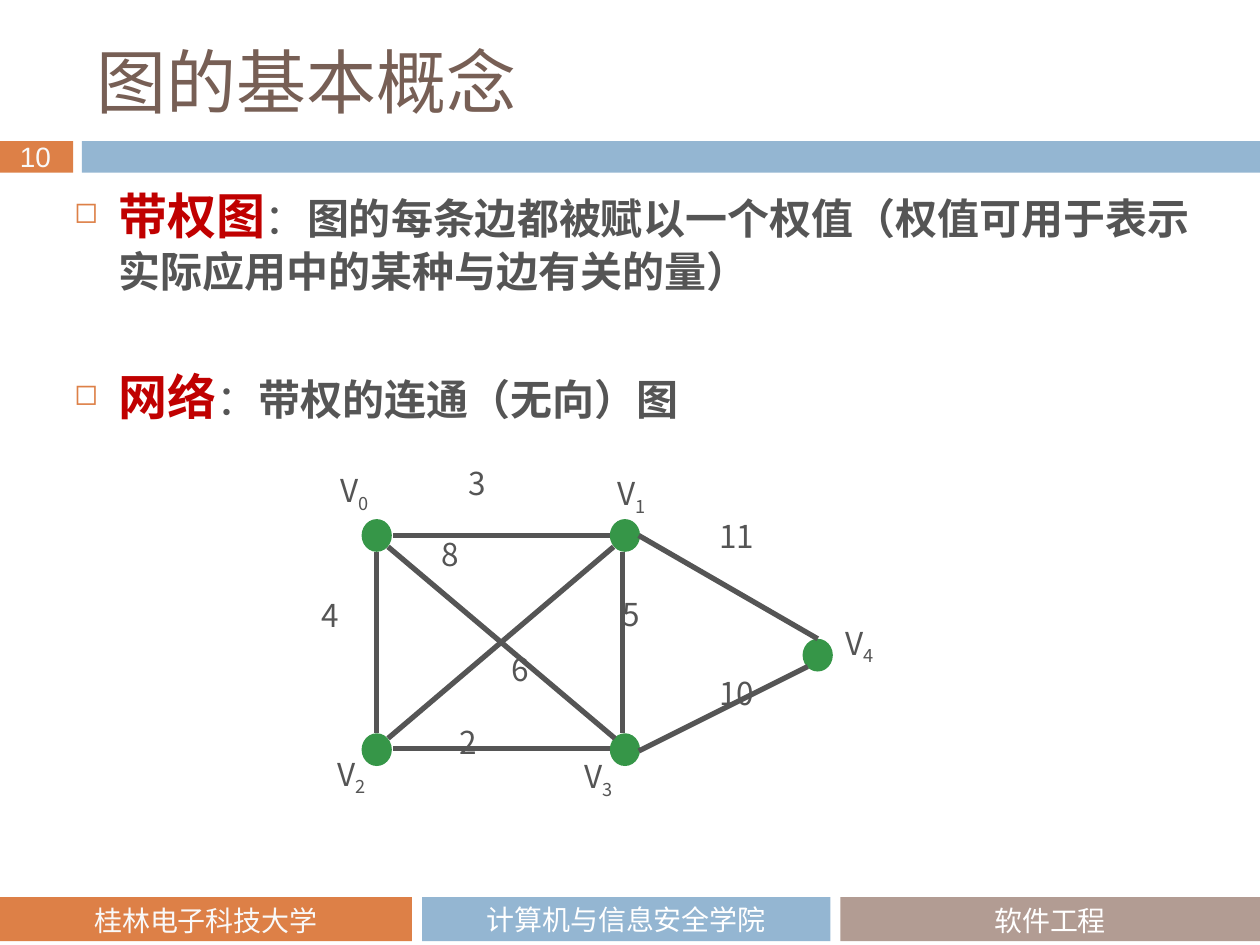
from dataclasses import dataclass
from typing import Any, NamedTuple

import lxml.etree
import pptx
import pptx.dml.color
import pptx.enum.shapes
import pptx.enum.text
import pptx.oxml
import pptx.oxml.ns
import pptx.util

Inches = pptx.util.Inches
Pt = pptx.util.Pt
Anchor = pptx.enum.text.MSO_ANCHOR
Align = pptx.enum.text.PP_ALIGN
AutoSize = pptx.enum.text.MSO_AUTO_SIZE
ShapeKind = pptx.enum.shapes.MSO_SHAPE
ConnectorKind = pptx.enum.shapes.MSO_CONNECTOR
qn = pptx.oxml.ns.qn

COLORS: dict[str, str] = {
    "orange": "DD8047",
    "blue": "94B6D2",
    "taupe": "B29C93",
    "brown": "775F55",
    "red": "C00000",
    "gray": "555555",
    "green": "369648",
    "white": "FFFFFF",
    "pale": "F9F9F9",
}
CJK = "Noto Sans CJK SC"


class Box(NamedTuple):
    left: float
    top: float
    width: float
    height: float


@dataclass(frozen=True)
class Run:
    text: str
    size: float = 18
    color: str = "gray"
    font: str = CJK
    bold: bool = False
    subscript: bool = False


@dataclass(frozen=True)
class Block:
    box: Box
    color: str


@dataclass(frozen=True)
class Caption:
    box: Box
    run: Run
    format: dict[str, Any]


@dataclass(frozen=True)
class Vertex:
    index: int
    left: float
    top: float
    label_left: float
    label_top: float


class Edge(NamedTuple):
    start_x: float
    start_y: float
    end_x: float
    end_y: float


class Weight(NamedTuple):
    text: str
    left: float
    top: float
    width: float = 0.36


BLOCKS = [
    Block(Box(0, 1.12, 0.58, 0.25), "orange"),
    Block(Box(0.65, 1.12, 9.35, 0.25), "blue"),
    Block(Box(0, 7.12, 3.27, 0.35), "orange"),
    Block(Box(3.35, 7.12, 3.24, 0.35), "blue"),
    Block(Box(6.67, 7.12, 3.33, 0.35), "taupe"),
]
WRAPPED = {"word_wrap": True}
MIDDLE = {"word_wrap": True, "vertical_anchor": Anchor.MIDDLE}
FITTED = {"word_wrap": False, "auto_size": AutoSize.SHAPE_TO_FIT_TEXT}
LABEL = {**FITTED, "vertical_anchor": Anchor.MIDDLE}
FOOTERS = [
    Caption(Box(3.35, 7.12, 3.24, 0.35), Run("计算机与信息安全学院", 16, "white", "Calibri"), MIDDLE),
    Caption(Box(6.67, 7.12, 3.33, 0.32), Run("软件工程", 16, "white", "Calibri"), WRAPPED),
    Caption(Box(0, 7.12, 3.27, 0.32), Run("桂林电子科技大学", 16, "pale", "Calibri"), WRAPPED),
]
DEFINITIONS = [
    ("带权图", "图的每条边都被赋以一个权值（权值可用于表示实际应用中的某种与边有关的量）"),
    ("网络", "带权的连通（无向）图"),
]
VERTICES = [
    Vertex(0, 2.87, 4.12, 2.6, 3.71),
    Vertex(1, 4.84, 4.12, 4.8, 3.73),
    Vertex(2, 2.87, 5.82, 2.58, 5.96),
    Vertex(3, 4.84, 5.82, 4.54, 5.98),
    Vertex(4, 6.37, 5.07, 6.61, 4.92),
]
EDGES = [
    Edge(3.12, 4.25, 4.84, 4.25),
    Edge(3.12, 5.94, 4.84, 5.94),
    Edge(2.99, 4.38, 2.99, 5.82),
    Edge(4.94, 4.38, 4.94, 5.82),
    Edge(3.08, 4.34, 4.88, 5.86),
    Edge(3.08, 5.86, 4.87, 4.34),
    Edge(5.07, 5.96, 6.41, 5.29),
    Edge(5.07, 4.25, 6.49, 5.07),
]
WEIGHTS = [
    Weight("2", 3.55, 5.69),
    Weight("3", 3.62, 3.63),
    Weight("4", 2.45, 4.68),
    Weight("5", 4.84, 4.67),
    Weight("6", 3.96, 5.11),
    Weight("8", 3.41, 4.2),
    Weight("10", 5.61, 5.3, 0.51),
    Weight("11", 5.61, 4.05, 0.51),
]


def rgb(name: str) -> pptx.dml.color.RGBColor:
    return pptx.dml.color.RGBColor.from_string(COLORS[name])


def apply_format(target: Any, values: dict[str, Any]) -> None:
    for name, value in values.items():
        setattr(target, name, value)


def add_filled_shape(shapes: Any, kind: Any, box: Box, color: str) -> None:
    shape = shapes.add_shape(kind, *map(Inches, box))
    shape.shadow.inherit = False
    shape.fill.solid()
    shape.fill.fore_color.rgb = rgb(color)
    shape.line.fill.background()


def add_runs(paragraph: Any, runs: list[Run]) -> None:
    for item in runs:
        run = paragraph.add_run()
        run.text = item.text
        apply_format(run.font, {"name": item.font, "size": Pt(item.size), "bold": item.bold})
        run.font.color.rgb = rgb(item.color)
        properties = run.font._element
        lxml.etree.SubElement(properties, qn("a:ea")).set("typeface", item.font)
        if item.subscript:
            properties.set("baseline", "-25000")


def add_text(shapes: Any, box: Box, runs: list[Run], format: dict[str, Any], alignment: Any = Align.LEFT) -> None:
    frame = shapes.add_textbox(*map(Inches, box)).text_frame
    apply_format(frame, format)
    paragraph = frame.paragraphs[0]
    paragraph.alignment = alignment
    add_runs(paragraph, runs)


def add_bullet(paragraph: Any) -> None:
    properties = paragraph._p.get_or_add_pPr()
    properties.set("marL", str(Inches(0.35)))
    properties.set("indent", str(Inches(-0.35)))
    color = lxml.etree.SubElement(properties, qn("a:buClr"))
    lxml.etree.SubElement(color, qn("a:srgbClr")).set("val", COLORS["orange"])
    lxml.etree.SubElement(properties, qn("a:buSzPct")).set("val", "60000")
    lxml.etree.SubElement(properties, qn("a:buChar")).set("char", "◻")


def add_definitions(shapes: Any) -> None:
    frame = shapes.add_textbox(*map(Inches, Box(0.49, 1.47, 9.23, 2.16))).text_frame
    apply_format(frame, WRAPPED)
    for position, (term, meaning) in enumerate(DEFINITIONS):
        paragraph = frame.add_paragraph() if position else frame.paragraphs[0]
        add_bullet(paragraph)
        apply_format(paragraph, {"line_spacing": Pt(30), "space_before": Pt(44 if position else 0)})
        add_runs(paragraph, [Run(term, 28, "red", bold=True), Run("：", 24), Run(meaning, 24, bold=True)])


def add_edge(shapes: Any, edge: Edge) -> None:
    connector = shapes.add_connector(ConnectorKind.STRAIGHT, *map(Inches, edge))
    connector.line.width = Pt(3)
    connector.line.color.rgb = rgb("gray")
    lxml.etree.SubElement(connector._element.spPr, qn("a:effectLst"))


def add_graph(slide: Any) -> None:
    shapes = slide.shapes.add_group_shape().shapes
    for vertex in VERTICES:
        add_filled_shape(shapes, ShapeKind.OVAL, Box(vertex.left, vertex.top, 0.24, 0.26), "green")
    for edge in EDGES:
        add_edge(shapes, edge)
    for vertex in VERTICES:
        runs = [Run("V"), Run(str(vertex.index), subscript=True)]
        add_text(shapes, Box(vertex.label_left, vertex.label_top, 0.48, 0.4), runs, LABEL)
    for weight in WEIGHTS:
        add_text(slide.shapes, Box(weight.left, weight.top, weight.width, 0.4), [Run(weight.text)], LABEL)


def main() -> None:
    presentation = pptx.Presentation()
    apply_format(presentation, {"slide_width": Inches(10), "slide_height": Inches(7.5)})
    slide = presentation.slides.add_slide(presentation.slide_layouts[6])
    for block in BLOCKS:
        add_filled_shape(slide.shapes, ShapeKind.RECTANGLE, block.box, block.color)
    for footer in FOOTERS:
        add_text(slide.shapes, footer.box, [footer.run], footer.format, Align.CENTER)
    add_text(slide.shapes, Box(0.06, 1.06, 0.48, 0.37), [Run("10", 16, "pale", "Arial")], FITTED)
    title = Run("图的基本概念", 40, "brown", "Noto Sans CJK JP")
    add_text(slide.shapes, Box(0.67, 0.25, 8.92, 0.78), [title], MIDDLE)
    add_definitions(slide.shapes)
    add_graph(slide)
    presentation.save("out.pptx")


if __name__ == "__main__":
    main()
